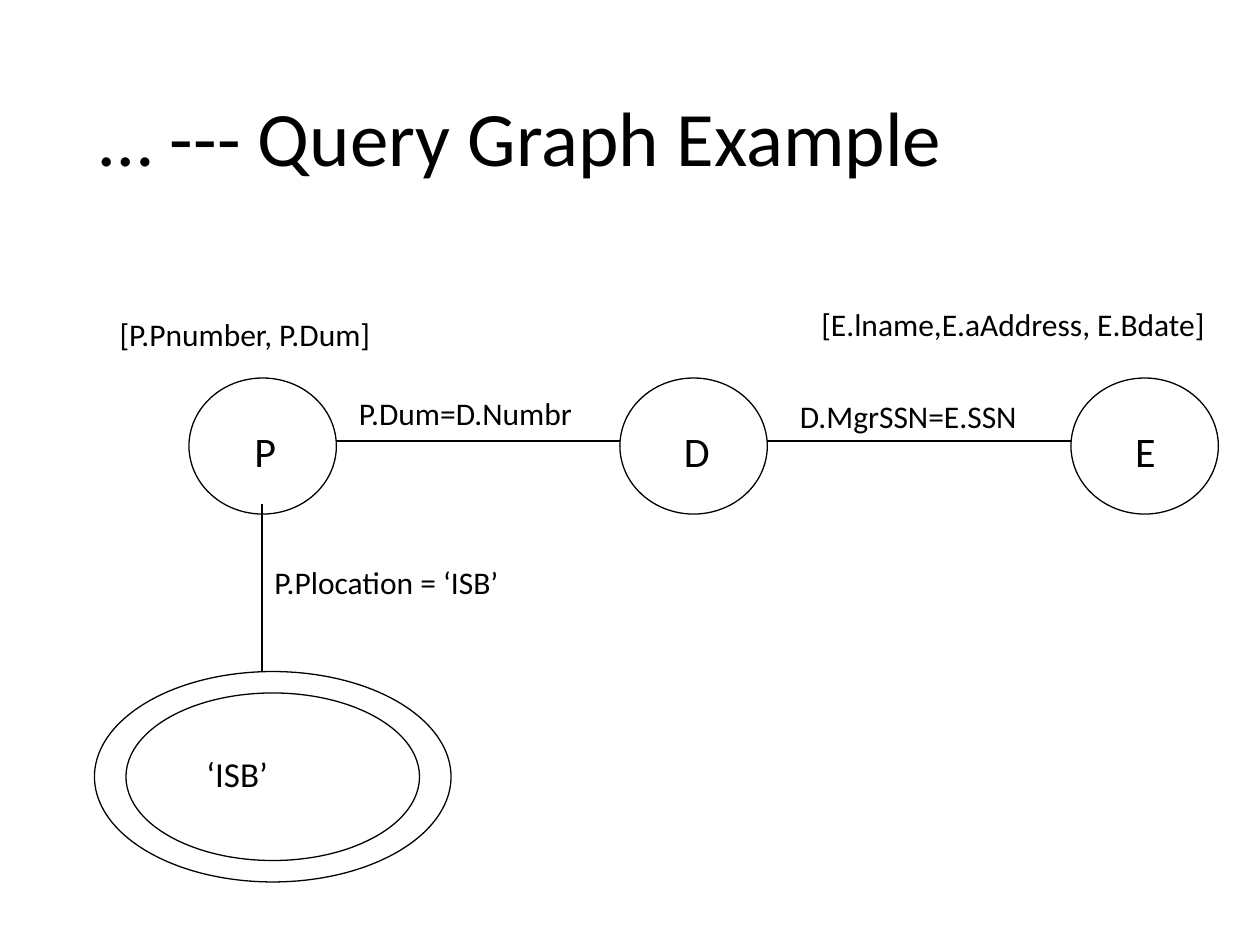
from typing import NamedTuple

from lxml.etree import SubElement
from pptx import Presentation
from pptx.dml.color import RGBColor
from pptx.enum.shapes import MSO_CONNECTOR, MSO_SHAPE
from pptx.enum.text import MSO_ANCHOR, MSO_AUTO_SIZE
from pptx.oxml.ns import qn
from pptx.slide import Slide
from pptx.util import Emu, Pt


class Theme(NamedTuple):
    ink: RGBColor = RGBColor(0, 0, 0)
    font: str = "Calibri"
    title_size: int = 44
    node_size: int = 24
    constant_size: int = 20
    label_size: int = 18
    line_width: float = 0.75


class Oval(NamedTuple):
    left: int
    top: int
    width: int
    height: int


class Edge(NamedTuple):
    x1: int
    y1: int
    x2: int
    y2: int


class Label(NamedTuple):
    text: str
    left: int
    top: int
    width: int
    height: int = 40
    size: int = Theme().label_size


THEME = Theme()
PX_PER_INCH = 100

NODE_TOP, NODE_WIDTH, NODE_HEIGHT = 300, 117, 108
PROJECT_LEFT, DEPARTMENT_LEFT, EMPLOYEE_LEFT = 150, 492, 850
JOIN_Y = 350
CONSTANT_TOP = 533

OVALS = [
    Oval(100, 550, 233, 133),
    Oval(75, CONSTANT_TOP, 283, 167),
    *(Oval(left, NODE_TOP, NODE_WIDTH, NODE_HEIGHT)
      for left in (PROJECT_LEFT, DEPARTMENT_LEFT, EMPLOYEE_LEFT)),
]

EDGES = [
    Edge(PROJECT_LEFT + NODE_WIDTH, JOIN_Y, DEPARTMENT_LEFT, JOIN_Y),
    Edge(DEPARTMENT_LEFT + NODE_WIDTH, JOIN_Y, EMPLOYEE_LEFT, JOIN_Y),
    Edge(208, CONSTANT_TOP, 208, 400),
]

NODE_LABELS = [
    Label(name, left, 333, width, 50, THEME.node_size)
    for name, left, width in (("P", 192, 39), ("D", 533, 43), ("E", 891, 39))
]

CONDITION_LABELS = [
    Label("P.Plocation = ‘ISB’", 208, 442, 200),
    Label("P.Dum=D.Numbr", 275, 308, 211),
    Label("[P.Pnumber, P.Dum]", 85, 245, 248),
    Label("D.MgrSSN=E.SSN", 625, 310, 216),
    Label("[E.lname,E.aAddress, E.Bdate]", 642, 237, 358),
    Label("‘ISB’", 154, 592, 69, 44, THEME.constant_size),
]

TITLE = Label("… --- Query Graph Example", 69, 40, 862, 145, THEME.title_size)


def px(length: int) -> Emu:
    return Emu(length * 914400 // PX_PER_INCH)


def draw_oval(slide: Slide, oval: Oval) -> None:
    ellipse = slide.shapes.add_shape(MSO_SHAPE.OVAL, *map(px, oval))
    ellipse.shadow.inherit = False
    ellipse.fill.background()
    ellipse.line.color.rgb = THEME.ink
    ellipse.line.width = Pt(THEME.line_width)


def draw_edge(slide: Slide, edge: Edge) -> None:
    connector = slide.shapes.add_connector(MSO_CONNECTOR.STRAIGHT, *map(px, edge))
    connector.line.color.rgb = THEME.ink
    connector.line.width = Pt(THEME.line_width)
    SubElement(connector._element.spPr, qn("a:effectLst"))


def draw_label(slide: Slide, label: Label):
    """Add one unwrapped line of text and return its text frame."""
    frame = slide.shapes.add_textbox(
        px(label.left), px(label.top), px(label.width), px(label.height)
    ).text_frame
    frame.text = label.text
    frame.word_wrap = False
    frame.auto_size = MSO_AUTO_SIZE.SHAPE_TO_FIT_TEXT
    font = frame.paragraphs[0].runs[0].font
    font.name = THEME.font
    font.size = Pt(label.size)
    font.color.rgb = THEME.ink
    return frame


def draw_title(slide: Slide) -> None:
    frame = draw_label(slide, TITLE)
    frame.word_wrap = True
    frame.auto_size = MSO_AUTO_SIZE.NONE
    frame.vertical_anchor = MSO_ANCHOR.MIDDLE
    frame.paragraphs[0].line_spacing = 0.9


def main() -> None:
    presentation = Presentation()
    presentation.slide_width, presentation.slide_height = px(1000), px(750)
    slide = presentation.slides.add_slide(presentation.slide_layouts[6])

    draw_title(slide)
    for oval in OVALS:
        draw_oval(slide, oval)
    for label in NODE_LABELS:
        draw_label(slide, label)
    for edge in EDGES:
        draw_edge(slide, edge)
    for label in CONDITION_LABELS:
        draw_label(slide, label)

    presentation.save("out.pptx")


if __name__ == "__main__":
    main()
